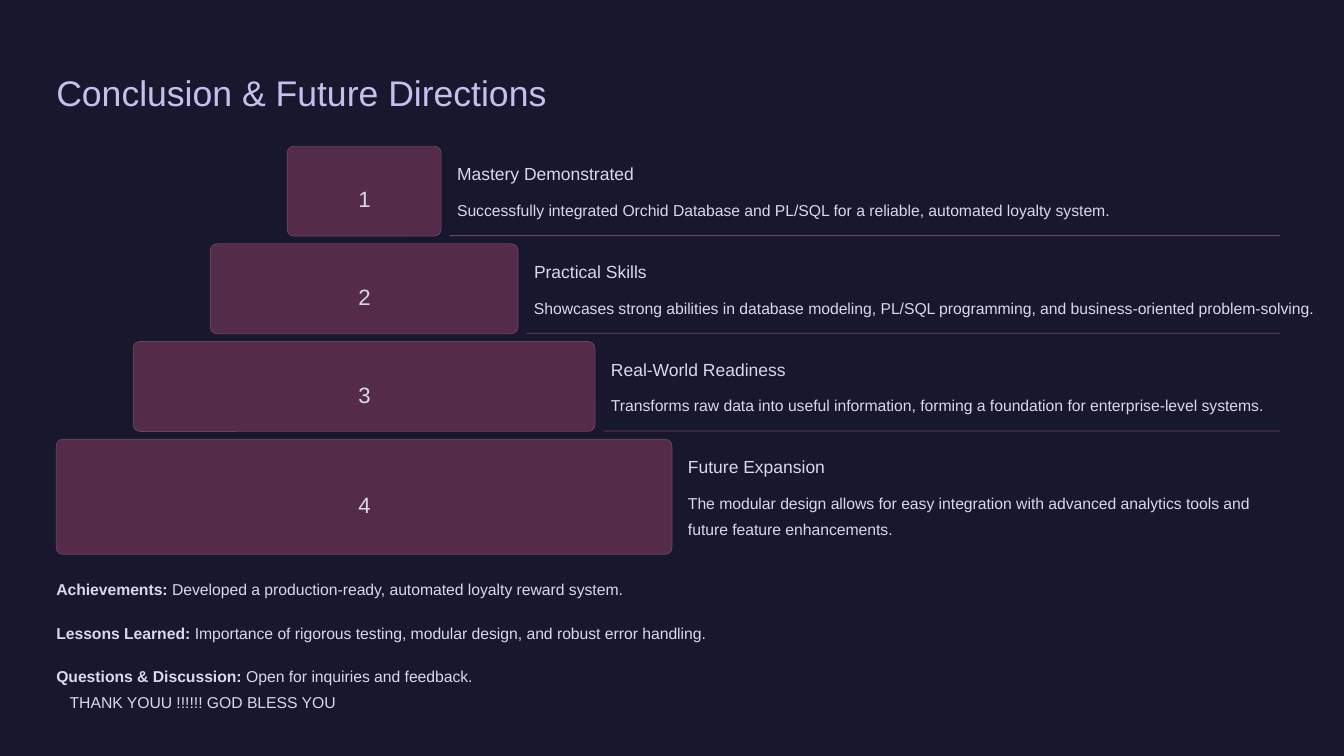
from pptx import Presentation
from pptx import util as u
from pptx.dml.color import RGBColor
from pptx.enum import shapes, text

COLORS = {"background": "17182E", "title": "C6BFEE", "body": "DAD8E9",
          "block": "542C49", "edge": "6D4562"}
STYLES = {
    "title": {"size": 30.5, "spacing": 38, "color": "title"},
    "number": {"size": 19, "spacing": 30.5, "color": "body"},
    "heading": {"size": 15, "spacing": 19, "color": "body"},
    "body": {"size": 13.5, "spacing": 22, "color": "body"},
}
LEVELS = [
    ("Mastery Demonstrated", 2.36, 7.19,
     "Successfully integrated Orchid Database and PL/SQL for a reliable, automated loyalty system."),
    ("Practical Skills", 2.12, 8.63,
     "Showcases strong abilities in database modeling, PL/SQL programming, "
     "and business-oriented problem-solving."),
    ("Real-World Readiness", 2.24, 7.42,
     "Transforms raw data into useful information, forming a foundation for enterprise-level systems."),
    ("Future Expansion", 2.12, 6.95,
     "The modular design allows for easy integration with advanced analytics tools "
     "and future feature enhancements."),
]
NOTES = [
    ("Achievements:", " Developed a production-ready, automated loyalty reward system."),
    ("Lessons Learned:", " Importance of rigorous testing, modular design, and robust error handling."),
    ("Questions & Discussion:", " Open for inquiries and feedback."),
]
CLOSING = "THANK YOUU !!!!!! GOD BLESS YOU"


def color(name):
    """Return the named palette colour."""
    return RGBColor.from_string(COLORS[name])


def add_runs(paragraph, runs, style, align=text.PP_ALIGN.LEFT):
    """Fill a paragraph with (wording, bold) runs in a named style."""
    values = STYLES[style]
    for name, value in {"alignment": align, "line_spacing": u.Pt(values["spacing"]),
                        "space_before": u.Pt(0)}.items():
        setattr(paragraph, name, value)
    for wording, bold in runs:
        run = paragraph.add_run()
        run.text = wording
        for name, value in {"name": "Arial", "size": u.Pt(values["size"]), "bold": bold}.items():
            setattr(run.font, name, value)
        run.font.color.rgb = color(values["color"])


def prepare_frame(frame, wrap=False):
    """Remove the margins and fitting of a text frame."""
    for name, value in {"margin_left": 0, "margin_right": 0, "margin_top": 0, "margin_bottom": 0,
                        "word_wrap": wrap, "vertical_anchor": text.MSO_ANCHOR.TOP,
                        "auto_size": text.MSO_AUTO_SIZE.NONE}.items():
        setattr(frame, name, value)


def add_text(slide, box, runs, style, align=text.PP_ALIGN.LEFT, wrap=False):
    """Add a text box and return its frame."""
    frame = slide.shapes.add_textbox(*map(u.Inches, box)).text_frame
    prepare_frame(frame, wrap)
    add_runs(frame.paragraphs[0], runs, style, align)
    return frame


def add_block(slide, box, radius, fill, outline=None):
    """Add a rounded block with a flat fill and an optional outline."""
    shape = slide.shapes.add_shape(shapes.MSO_SHAPE.ROUNDED_RECTANGLE, *map(u.Inches, box))
    shape.adjustments[0] = radius / min(box[2:])
    shape.shadow.inherit = False
    shape.fill.solid()
    shape.fill.fore_color.rgb = color(fill)
    if outline:
        shape.line.color.rgb = color(outline)
        shape.line.width = u.Pt(0.6)
    else:
        shape.line.fill.background()


def add_title(slide, box):
    """Place and format the slide title."""
    title = slide.shapes.title
    for name, value in zip(("left", "top", "width", "height"), box):
        setattr(title, name, u.Inches(value))
    prepare_frame(title.text_frame)
    add_runs(title.text_frame.paragraphs[0], [("Conclusion & Future Directions", False)], "title")


def add_pyramid(slide, box):
    """Stack the numbered levels, each wider than the one above."""
    left, top, width, height = box
    base_width = 7.33
    center = left + base_width / 2
    pitch, level_height = 1.163, 1.07
    last = len(LEVELS) - 1
    for index, (heading, heading_width, detail_width, detail) in enumerate(LEVELS):
        is_base = index == last
        level_width = base_width * (index + 1) / len(LEVELS)
        level_top = top + index * pitch
        level_tall = height - last * pitch if is_base else level_height
        right = center + level_width / 2
        add_block(slide, (center - level_width / 2, level_top, level_width, level_tall),
                  0.08, "block", "edge")
        add_text(slide, (center - 0.13, level_top + level_tall / 2 - 0.17, 0.27, 0.34),
                 [(str(index + 1), False)], "number", text.PP_ALIGN.CENTER)
        add_text(slide, (right + 0.19, level_top + 0.19, heading_width, 0.27),
                 [(heading, False)], "heading")
        add_text(slide, (right + 0.19, level_top + 0.57, detail_width, 0.61 if is_base else 0.31),
                 [(detail, False)], "body", wrap=is_base)
        if not is_base:
            rule_left = right + 0.1
            add_block(slide, (rule_left, level_top + level_height - 0.01,
                              left + width - rule_left, 0.01), 0.005, "edge")


def add_notes(slide, box):
    """List the closing remarks at an even pitch."""
    left, top, width, height = box
    for index, (label, remark) in enumerate(NOTES):
        frame = add_text(slide, (left, top + index * 0.52, width, height),
                         [(label, True), (remark, False)], "body")
    closing = frame.add_paragraph()
    closing._p.get_or_add_pPr().set("marL", str(u.Inches(0.16)))
    add_runs(closing, [(CLOSING, False)], "body")


def main():
    """Build and save the slide."""
    presentation = Presentation()
    presentation.slide_width = u.Inches(16)
    presentation.slide_height = u.Inches(9)
    slide = presentation.slides.add_slide(presentation.slide_layouts[5])
    slide.background.fill.solid()
    slide.background.fill.fore_color.rgb = color("background")
    add_title(slide, (0.67, 0.83, 6.44, 0.53))
    add_pyramid(slide, (0.67, 1.74, 14.57, 4.86))
    add_notes(slide, (0.67, 6.82, 14.66, 0.31))
    presentation.save("out.pptx")


if __name__ == "__main__":
    main()
